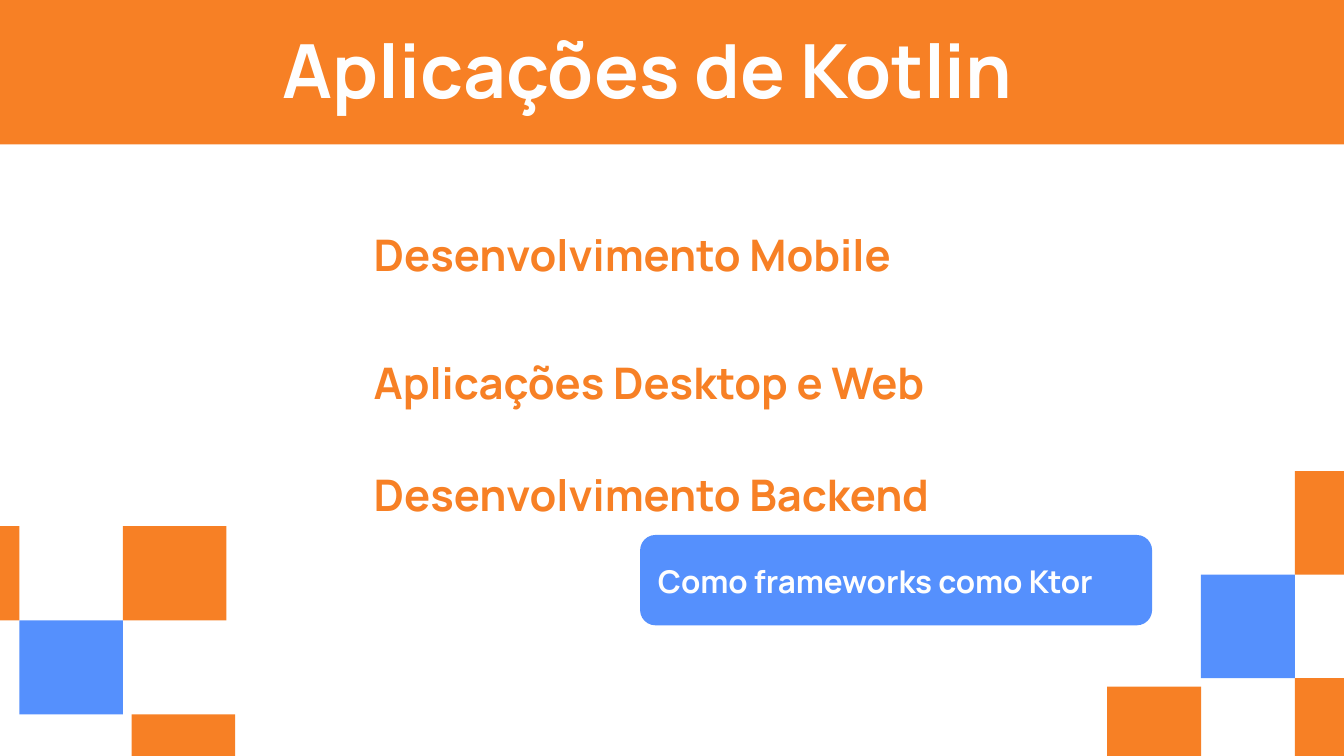
"""Build the slide on applications of Kotlin."""
from dataclasses import dataclass

from pptx import Presentation
from pptx.dml.color import RGBColor
from pptx.enum.shapes import MSO_SHAPE
from pptx.enum.text import MSO_ANCHOR
from pptx.shapes.autoshape import Shape
from pptx.slide import Slide
from pptx.util import Pt

RECTANGLE = MSO_SHAPE.RECTANGLE
ROUNDED = MSO_SHAPE.ROUNDED_RECTANGLE
TOP = MSO_ANCHOR.TOP


@dataclass(frozen=True)
class Theme:
    orange: RGBColor = RGBColor(0xF7, 0x80, 0x25)
    blue: RGBColor = RGBColor(0x55, 0x90, 0xFD)
    white: RGBColor = RGBColor(0xFF, 0xFF, 0xFF)
    light_text: RGBColor = RGBColor(0xFE, 0xFE, 0xFE)
    font: str = "Manrope"
    title_size: float = 80
    topic_size: float = 46.6
    note_size: float = 33.6
    line_factor: float = 1.2


@dataclass(frozen=True)
class Box:
    left: float
    top: float
    width: float
    height: float


@dataclass(frozen=True)
class Topic:
    text: str
    top: float


@dataclass(frozen=True)
class Tile:
    box: Box
    color: RGBColor


THEME = Theme()
SLIDE_WIDTH, SLIDE_HEIGHT = 1440, 810
BANNER_HEIGHT = 154.8
TILE_SHORT, TILE_LONG = 100.8, 110.9

TOPICS = (
    Topic("Desenvolvimento Mobile", 244.8),
    Topic("Aplicações Desktop e Web", 381.6),
    Topic("Desenvolvimento Backend", 501.8),
)


def right_tile(left: float, top: float, color: RGBColor) -> Tile:
    return Tile(Box(left, top, TILE_SHORT, TILE_LONG), color)


def left_tile(left: float, top: float, color: RGBColor) -> Tile:
    return Tile(Box(left, top, TILE_LONG, TILE_SHORT), color)


TILES = (
    right_tile(1286.6, 615.6, THEME.blue),
    right_tile(1186.2, 735.8, THEME.orange),
    right_tile(1387.4, 504.7, THEME.orange),
    right_tile(1387.4, 726.5, THEME.orange),
    left_tile(20.9, 664.6, THEME.blue),
    left_tile(141.1, 765.4, THEME.orange),
    left_tile(-90, 563.8, THEME.orange),
    left_tile(131.8, 563.8, THEME.orange),
)


def add_block(slide: Slide, box: Box, color: RGBColor, kind: MSO_SHAPE = RECTANGLE) -> Shape:
    block = slide.shapes.add_shape(
        kind, Pt(box.left), Pt(box.top), Pt(box.width), Pt(box.height)
    )
    block.shadow.inherit = False
    block.fill.solid()
    block.fill.fore_color.rgb = color
    block.line.fill.background()
    return block


def add_text(slide: Slide, text: str, *, box: Box, size: float, color: RGBColor) -> None:
    frame = slide.shapes.add_textbox(
        Pt(box.left), Pt(box.top), Pt(box.width), Pt(box.height)
    ).text_frame
    frame.word_wrap = True
    frame.vertical_anchor = TOP
    frame.margin_left = frame.margin_right = 0
    frame.margin_top = frame.margin_bottom = 0
    paragraph = frame.paragraphs[0]
    paragraph.line_spacing = Pt(size * THEME.line_factor)
    run = paragraph.add_run()
    run.text = text
    run.font.name = THEME.font
    run.font.size = Pt(size)
    run.font.bold = True
    run.font.color.rgb = color


def main() -> None:
    deck = Presentation()
    deck.slide_width, deck.slide_height = Pt(SLIDE_WIDTH), Pt(SLIDE_HEIGHT)
    slide = deck.slides.add_slide(deck.slide_layouts[6])
    slide.background.fill.solid()
    slide.background.fill.fore_color.rgb = THEME.orange

    body = Box(0, BANNER_HEIGHT, SLIDE_WIDTH, SLIDE_HEIGHT - BANNER_HEIGHT)
    add_block(slide, body, THEME.white)
    note = add_block(slide, Box(685.8, 573.2, 548.6, 96.8), THEME.blue, ROUNDED)
    note.adjustments[0] = 0.17

    add_text(slide, "Aplicações de Kotlin", box=Box(303.1, 25.9, 834.5, 103),
             size=THEME.title_size, color=THEME.light_text)
    for topic in TOPICS:
        add_text(slide, topic.text, box=Box(400.3, topic.top, 649.4, 58.3),
                 size=THEME.topic_size, color=THEME.orange)
    add_text(slide, "Como frameworks como Ktor", box=Box(704.9, 601.9, 516.2, 43.2),
             size=THEME.note_size, color=THEME.light_text)

    for tile in TILES:
        add_block(slide, tile.box, tile.color)
    deck.save("out.pptx")


if __name__ == "__main__":
    main()
